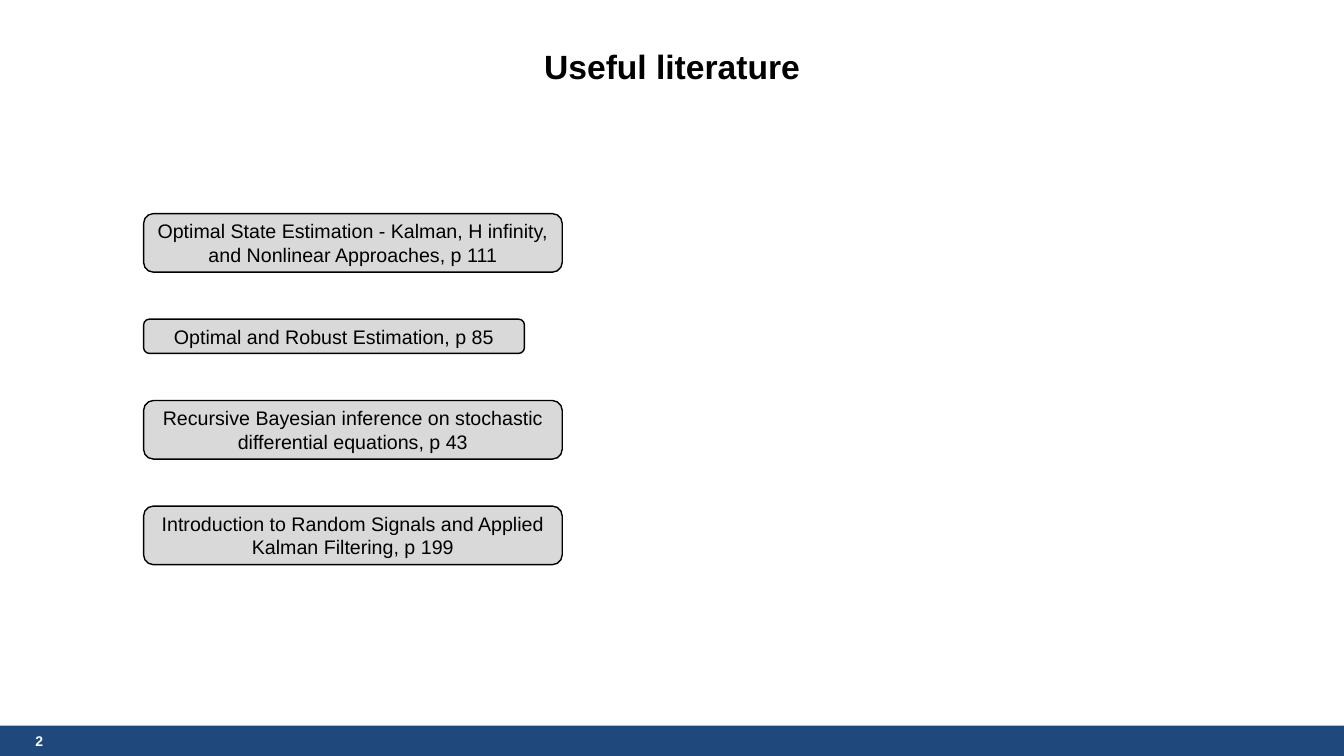
from pptx import Presentation
from pptx.dml.color import RGBColor as RGB
from pptx.enum.shapes import MSO_SHAPE as Shape
from pptx.enum.text import MSO_ANCHOR as Anchor, PP_ALIGN as Align
from pptx.util import Pt

WIDE, HIGH = 960, 540
FONT = "Arial"
COLORS = {"ink": "000000", "paper": "FFFFFF", "bar": "1F497D", "box": "D9D9D9"}

# Title and page of each book, with the width and height of its box
BOOKS = [
    ("Optimal State Estimation - Kalman, H infinity, and Nonlinear Approaches, p 111", 299, 41.8),
    ("Optimal and Robust Estimation, p 85", 272, 24.5),
    ("Recursive Bayesian inference on stochastic differential equations, p 43", 299, 41.8),
    ("Introduction to Random Signals and Applied Kalman Filtering, p 199", 299, 41.8),
]
LEFT, TOP, GAP = 102.6, 152.6, 33.6


def color(name):
    return RGB.from_string(COLORS[name])


def set_text(shape, text, size, ink="ink", bold=False):
    frame = shape.text_frame
    frame.text = text
    frame.word_wrap = True
    frame.vertical_anchor = Anchor.MIDDLE
    para = frame.paragraphs[0]
    para.alignment = Align.CENTER
    font = para.runs[0].font
    font.name, font.size, font.bold = FONT, Pt(size), bold
    font.color.rgb = color(ink)


def add_label(slide, area, text, size, ink="ink"):
    label = slide.shapes.add_textbox(*map(Pt, area))
    set_text(label, text, size, ink, bold=True)


def add_box(slide, kind, area, fill, line=None):
    box = slide.shapes.add_shape(kind, *map(Pt, area))
    box.shadow.inherit = False
    box.fill.solid()
    box.fill.fore_color.rgb = color(fill)
    if line:
        box.line.color.rgb = color(line)
        box.line.width = Pt(1)
    else:
        box.line.fill.background()
    return box


def main():
    deck = Presentation()
    deck.slide_width, deck.slide_height = Pt(WIDE), Pt(HIGH)
    slide = deck.slides.add_slide(deck.slide_layouts[6])

    # Footer bar with page number
    add_box(slide, Shape.RECTANGLE, (0, 518.4, WIDE, 21.6), "bar")
    add_label(slide, (10, 519, 36, 20), "2", 10, "paper")

    # Title
    add_label(slide, (46, 29, 868, 36.6), "Useful literature", 24)

    # Stack of books
    top = TOP
    for text, width, height in BOOKS:
        box = add_box(slide, Shape.ROUNDED_RECTANGLE, (LEFT, top, width, height), "box", "ink")
        set_text(box, text, 14)
        top += height + GAP

    deck.save("out.pptx")


if __name__ == "__main__":
    main()
